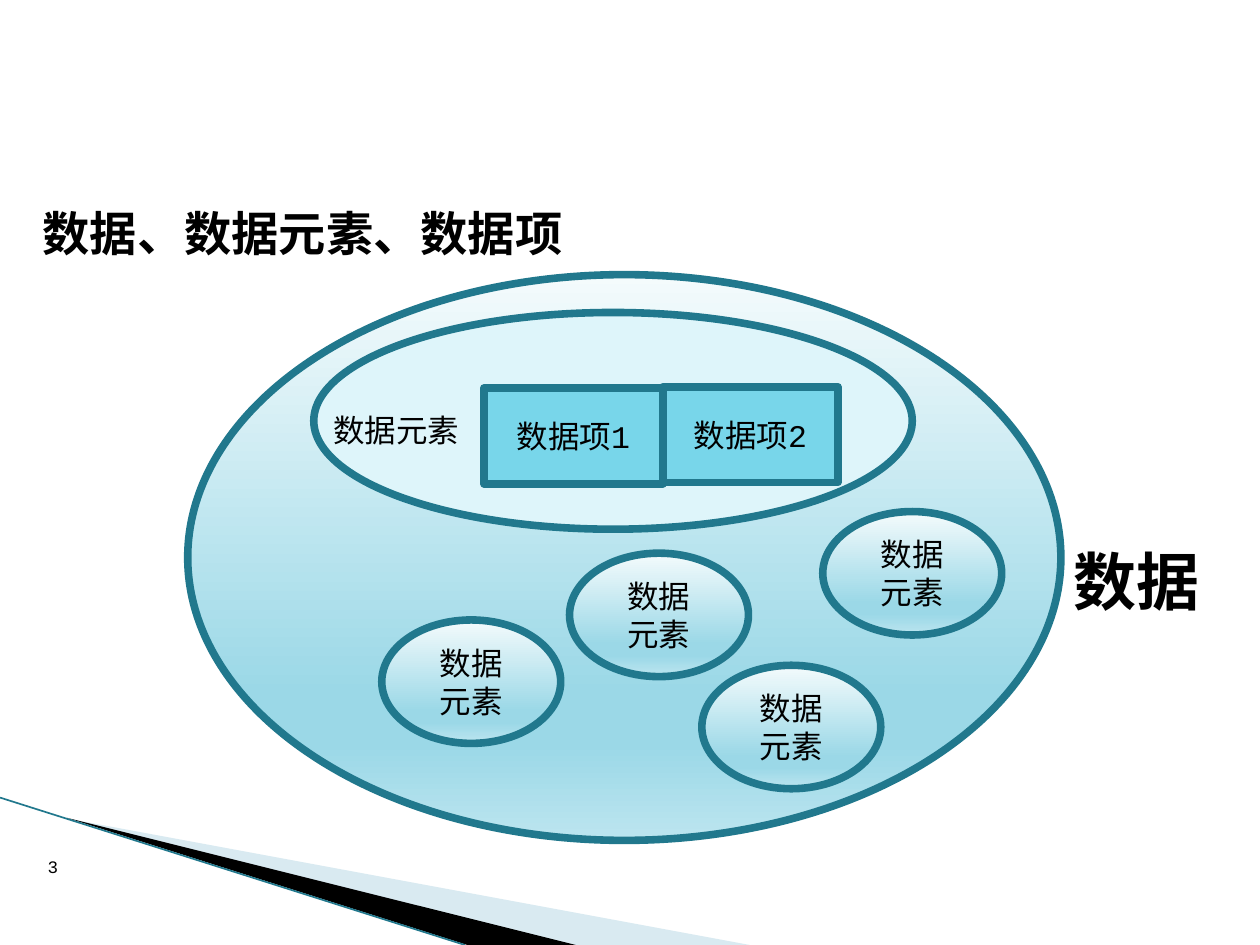
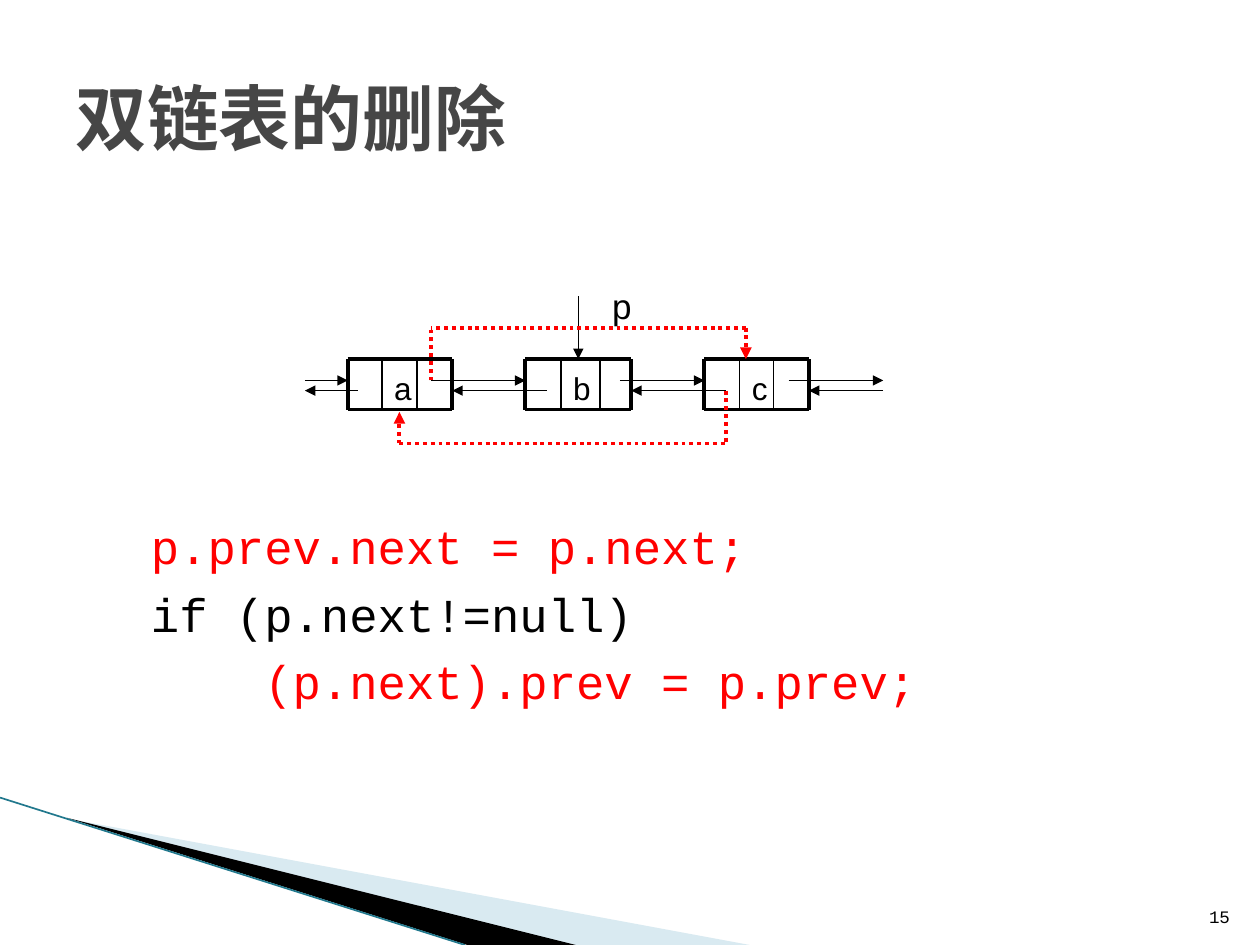
from copy import deepcopy
from dataclasses import dataclass

from lxml import etree
from pptx import Presentation
from pptx.dml.color import RGBColor
from pptx.enum.dml import MSO_LINE
from pptx.enum.shapes import MSO_CONNECTOR, MSO_SHAPE
from pptx.enum.text import MSO_ANCHOR, PP_ALIGN
from pptx.oxml.ns import qn
from pptx.util import Pt

PX = 9144
BLACK = RGBColor(0x00, 0x00, 0x00)
RED = RGBColor(0xFF, 0x00, 0x00)
TITLE_GREY = RGBColor(0x46, 0x46, 0x46)
TEAL = RGBColor(0x21, 0x78, 0x8D)
PALE_AQUA = RGBColor(0xDE, 0xF5, 0xFA)
AQUA = RGBColor(0x78, 0xD6, 0xEA)
MIST = RGBColor(0xA0, 0xCB, 0xDC)
SET_GRADIENT = (
    (0, RGBColor(0xF4, 0xFB, 0xFC)),
    (0.74, RGBColor(0x9B, 0xD8, 0xE7)),
    (0.83, RGBColor(0x9B, 0xD8, 0xE7)),
    (1, RGBColor(0xBC, 0xE5, 0xEF)),
)

LEFT, CENTER, RIGHT = PP_ALIGN.LEFT, PP_ALIGN.CENTER, PP_ALIGN.RIGHT
TOP, MIDDLE, BOTTOM = MSO_ANCHOR.TOP, MSO_ANCHOR.MIDDLE, MSO_ANCHOR.BOTTOM
OVAL, RECTANGLE = MSO_SHAPE.OVAL, MSO_SHAPE.RECTANGLE
STRAIGHT = MSO_CONNECTOR.STRAIGHT
DOTTED = MSO_LINE.ROUND_DOT


@dataclass(frozen=True)
class Box:
    left: int
    top: int
    width: int
    height: int

    def emu(self) -> tuple:
        return tuple(n * PX for n in (self.left, self.top, self.width, self.height))


@dataclass(frozen=True)
class TextStyle:
    size: int = 18
    font: str = "Courier New"
    bold: bool = False
    color: RGBColor = BLACK
    align: PP_ALIGN = LEFT
    anchor: MSO_ANCHOR = TOP
    gap: int = 0
    margin: int = 0
    indent: int = 0


@dataclass(frozen=True)
class Region:
    box: Box
    outline: MSO_SHAPE = OVAL
    fill: RGBColor | None = None
    lines: tuple = ()


@dataclass(frozen=True)
class Stroke:
    color: RGBColor = BLACK
    width: float = 0.75
    dotted: bool = False
    arrow: bool = False


@dataclass(frozen=True)
class Link:
    start: tuple
    end: tuple
    stroke: Stroke


@dataclass(frozen=True)
class Node:
    label: str
    edges: tuple


HEADING = TextStyle(size=27, bold=True, margin=40, indent=-28)
TITLE = TextStyle(size=41, bold=True, color=TITLE_GREY, anchor=MIDDLE)
CODE = TextStyle(size=27, gap=6, margin=40, indent=-28)
DATA_LABEL = TextStyle(size=36, font="Times New Roman", bold=True)
REGION_TEXT = TextStyle(align=CENTER, anchor=MIDDLE)
ELEMENT_LABEL = TextStyle(align=CENTER)
NODE_LABEL = TextStyle(font="Arial")
POINTER_LABEL = TextStyle(size=20, font="Arial")
PAGE_NUMBER = TextStyle(size=10, align=RIGHT, anchor=BOTTOM)

EDGE = Stroke(TEAL, 0.95)
FRAME = Stroke(width=2.25)
DIVIDER = Stroke(width=1)
POINTER = Stroke(arrow=True)
BYPASS = Stroke(RED, 2.25, dotted=True)
BYPASS_ARROW = Stroke(RED, 2.25, dotted=True, arrow=True)

ELEMENT_CORNERS = ((557, 528), (303, 492), (653, 406), (452, 439))
REGIONS = (
    Region(Box(149, 218, 693, 449)),
    *(Region(Box(x, y, 142, 98), lines=("数据", "元素")) for x, y in ELEMENT_CORNERS),
    Region(Box(249, 248, 475, 172), fill=PALE_AQUA),
    Region(Box(384, 308, 142, 76), RECTANGLE, AQUA, ("数据项1",)),
    Region(Box(526, 307, 139, 76), RECTANGLE, AQUA, ("数据项2",)),
)

NODE_TOP, NODE_BOTTOM = 285, 325
NEXT_Y, PREV_Y = 302, 310
OVER_Y, UNDER_Y = 260, 352
NODES = (
    Node("a", (276, 303, 331, 359)),
    Node("b", (417, 445, 476, 501)),
    Node("c", (559, 587, 614, 642)),
)
NEXT_SPANS = ((242, 276), (342, 417), (492, 559), (626, 701))
PREV_SPANS = ((284, 242), (434, 359), (576, 501), (701, 642))
LINKS = (
    *(Link((x1, NEXT_Y), (x2, NEXT_Y), POINTER) for x1, x2 in NEXT_SPANS),
    *(Link((x1, PREV_Y), (x2, PREV_Y), POINTER) for x1, x2 in PREV_SPANS),
    Link((459, 235), (459, NODE_TOP), POINTER),
    Link((342, NEXT_Y), (342, OVER_Y), BYPASS),
    Link((592, OVER_Y), (342, OVER_Y), BYPASS),
    Link((592, OVER_Y), (592, NODE_TOP), BYPASS_ARROW),
    Link((576, PREV_Y), (576, UNDER_Y), BYPASS),
    Link((317, UNDER_Y), (576, UNDER_Y), BYPASS),
    Link((317, UNDER_Y), (317, 327), BYPASS_ARROW),
)
DELETE_CODE = (
    ("p.prev.next = p.next;", RED),
    ("if (p.next!=null)", BLACK),
    ("    (p.next).prev = p.prev;", RED),
)


def apply_format(target: object, values: dict) -> None:
    """Set each named attribute on the target."""
    for name, value in values.items():
        setattr(target, name, value)


def write_lines(shape, lines: tuple, style: TextStyle) -> None:
    """Write (text, colour) lines into a shape, one paragraph each."""
    frame = shape.text_frame
    apply_format(frame, {"word_wrap": True, "vertical_anchor": style.anchor})
    for index, (text, color) in enumerate(lines):
        paragraph = frame.add_paragraph() if index else frame.paragraphs[0]
        paragraph.alignment = style.align
        if index and style.gap:
            paragraph.space_before = Pt(style.gap)
        if style.margin:
            properties = paragraph._p.get_or_add_pPr()
            properties.set("marL", str(style.margin * PX))
            properties.set("indent", str(style.indent * PX))
        run = paragraph.add_run()
        run.text = text
        apply_format(run.font, {"name": style.font, "size": Pt(style.size), "bold": style.bold})
        run.font.color.rgb = color


def add_text(slide, box: Box, text: str, style: TextStyle) -> None:
    """Place a one-line text box."""
    write_lines(slide.shapes.add_textbox(*box.emu()), ((text, style.color),), style)


def fill_gradient(shape) -> None:
    """Fill a shape with the vertical four-stop gradient."""
    shape.fill.gradient()
    shape.fill.gradient_angle = 270
    stops = shape._element.spPr.find(qn("a:gradFill")).find(qn("a:gsLst"))
    for _ in range(len(SET_GRADIENT) - len(stops)):
        stops.append(deepcopy(stops[0]))
    for stop, (position, color) in zip(shape.fill.gradient_stops, SET_GRADIENT):
        stop.position = position
        stop.color.rgb = color


def add_region(slide, region: Region) -> None:
    """Draw one outlined part of the data diagram."""
    shape = slide.shapes.add_shape(region.outline, *region.box.emu())
    shape.shadow.inherit = False
    if region.fill is None:
        fill_gradient(shape)
    else:
        shape.fill.solid()
        shape.fill.fore_color.rgb = region.fill
    shape.line.color.rgb = TEAL
    shape.line.width = Pt(4.33)
    if region.lines:
        write_lines(shape, tuple((text, BLACK) for text in region.lines), REGION_TEXT)


def add_link(slide, link: Link) -> None:
    """Draw a straight line, dotted or arrowed as its stroke says."""
    ends = (n * PX for n in (*link.start, *link.end))
    connector = slide.shapes.add_connector(STRAIGHT, *ends)
    stroke = link.stroke
    connector.line.color.rgb = stroke.color
    connector.line.width = Pt(stroke.width)
    if stroke.dotted:
        connector.line.dash_style = DOTTED
    properties = connector._element.spPr
    if stroke.arrow:
        etree.SubElement(properties.find(qn("a:ln")), qn("a:tailEnd"), type="triangle")
    etree.SubElement(properties, qn("a:effectLst"))


def add_facet(slide, points: tuple, color: RGBColor, opacity: int) -> None:
    """Draw a corner facet with the given opacity in percent."""
    builder = slide.shapes.build_freeform(*points[0], scale=PX)
    builder.add_line_segments(points[1:], close=True)
    facet = builder.convert_to_shape()
    facet.shadow.inherit = False
    facet.fill.solid()
    facet.fill.fore_color.rgb = color
    facet.line.fill.background()
    if opacity < 100:
        tint = facet._element.spPr.find(qn("a:solidFill"))[0]
        etree.SubElement(tint, qn("a:alpha"), val=str(opacity * 1000))


def add_page(deck, number: str, number_box: Box):
    """Start a slide with the shared corner facets and page number."""
    slide = deck.slides.add_slide(deck.slide_layouts[6])
    add_facet(slide, ((55, 650), (595, 750), (456, 750)), MIST, 40)
    add_facet(slide, ((53, 649), (457, 750), (371, 750)), BLACK, 100)
    add_link(slide, Link((0, 633), (369, 750), EDGE))
    add_text(slide, number_box, number, PAGE_NUMBER)
    return slide


def add_node(slide, node: Node) -> None:
    """Draw a list node with its three cells and its label."""
    first, label_left, label_right, last = node.edges
    add_text(slide, Box(label_left, NODE_TOP + 3, label_right - label_left, 40), node.label, NODE_LABEL)
    for y in (NODE_TOP, NODE_BOTTOM):
        add_link(slide, Link((first, y), (last, y), FRAME))
    for x, stroke in zip(node.edges, (FRAME, DIVIDER, DIVIDER, FRAME)):
        add_link(slide, Link((x, NODE_TOP), (x, NODE_BOTTOM), stroke))


def build_data_slide(deck) -> None:
    """Build the slide on data, data elements and data items."""
    slide = add_page(deck, "3", Box(6, 661, 50, 40))
    add_text(slide, Box(12, 157, 968, 60), "数据、数据元素、数据项", HEADING)
    for region in REGIONS:
        add_region(slide, region)
    add_text(slide, Box(842, 426, 122, 71), "数据", DATA_LABEL)
    add_text(slide, Box(237, 321, 155, 51), "数据元素", ELEMENT_LABEL)


def build_deletion_slide(deck) -> None:
    """Build the slide on deleting from a doubly linked list."""
    slide = add_page(deck, "15", Box(946, 701, 40, 40))
    add_text(slide, Box(50, 30, 900, 125), "双链表的删除", TITLE)
    write_lines(slide.shapes.add_textbox(*Box(98, 406, 850, 210).emu()), DELETE_CODE, CODE)
    for node in NODES:
        add_node(slide, node)
    for link in LINKS:
        add_link(slide, link)
    add_text(slide, Box(476, 221, 58, 43), "p", POINTER_LABEL)


def main() -> None:
    """Build both slides and save the deck."""
    deck = Presentation()
    apply_format(deck, {"slide_width": 1000 * PX, "slide_height": 750 * PX})
    build_data_slide(deck)
    build_deletion_slide(deck)
    deck.save("out.pptx")


if __name__ == "__main__":
    main()
